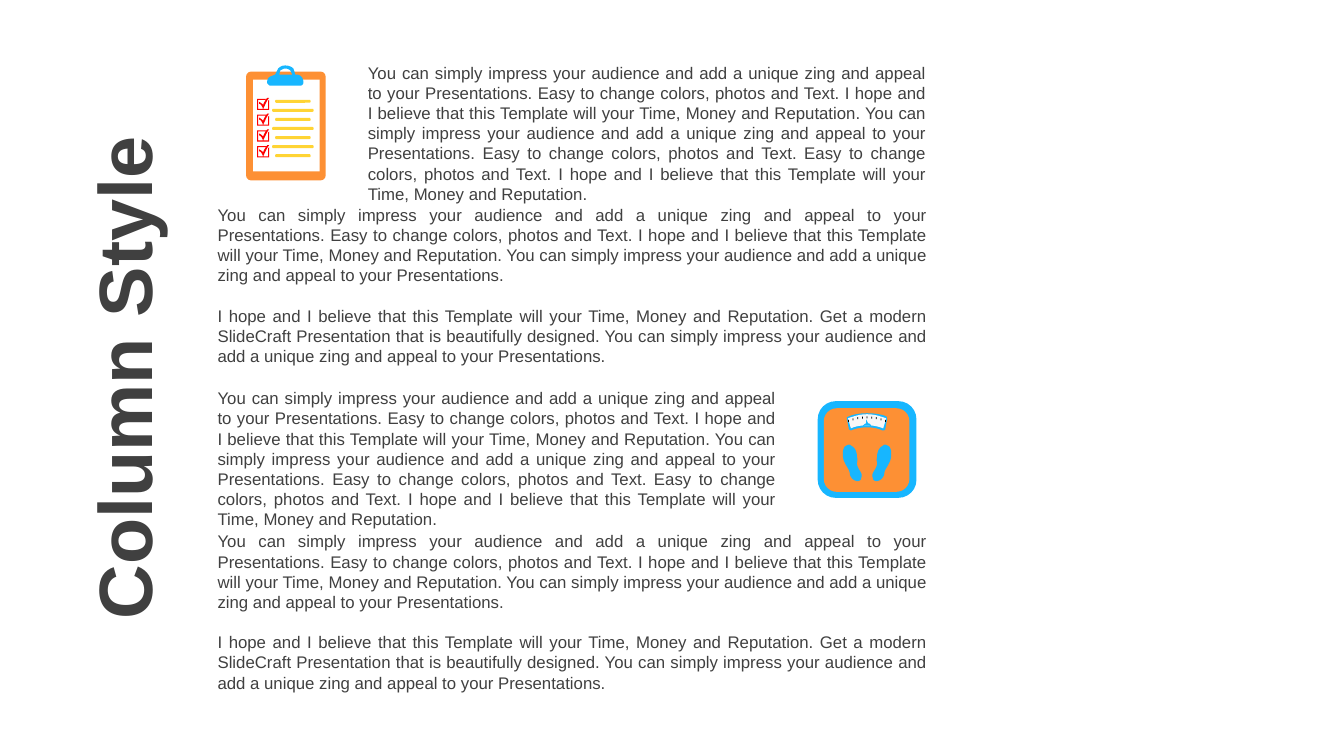
from dataclasses import dataclass

from pptx import Presentation
from pptx.dml.color import RGBColor
from pptx.enum.shapes import MSO_SHAPE
from pptx.enum.text import MSO_ANCHOR, MSO_AUTO_SIZE, PP_ALIGN
from pptx.shapes.base import BaseShape
from pptx.shapes.group import GroupShape
from pptx.slide import Slide
from pptx.text.text import Font
from pptx.util import Inches, Pt

RECTANGLE = MSO_SHAPE.RECTANGLE
ROUNDED = MSO_SHAPE.ROUNDED_RECTANGLE
TOP, MIDDLE = MSO_ANCHOR.TOP, MSO_ANCHOR.MIDDLE
NO_FIT, GROW = MSO_AUTO_SIZE.NONE, MSO_AUTO_SIZE.SHAPE_TO_FIT_TEXT
CENTER, JUSTIFY = PP_ALIGN.CENTER, PP_ALIGN.JUSTIFY

COLORS = {
    "text": "404040",
    "orange": "FD9034",
    "blue": "17B6FF",
    "yellow": "FFD434",
    "red": "FF0000",
    "white": "FFFFFF",
    "dial": "F8F7F7",
    "black": "000000",
}
FONT_NAME = "Arial"
LINE_PITCH = Pt(14.4)
CURVE_STEPS = 8

IMPRESS = "You can simply impress your audience and add a unique zing and appeal to your Presentations."
EASY = "Easy to change colors, photos and Text."
HOPE = "I hope and I believe that this Template will your Time, Money and Reputation."
MODERN = "Get a modern SlideCraft Presentation that is beautifully designed."
LEAD = [" ".join([IMPRESS, EASY, HOPE, IMPRESS, EASY, EASY, HOPE])]
DETAIL = [" ".join([IMPRESS, EASY, HOPE, IMPRESS]), " ".join([HOPE, MODERN, IMPRESS])]

Point = tuple[float, float]
Contour = list[tuple[float, ...]]


@dataclass
class TextBlock:
    left: float
    top: float
    width: float
    height: float
    paragraphs: list[str]


@dataclass
class Panel:
    left: float
    top: float
    width: float
    height: float
    color: str
    corner: float = 0


TEXT_BLOCKS = [
    TextBlock(3.55, 0.57, 5.74, 1.51, LEAD),
    TextBlock(2.06, 1.98, 7.24, 1.72, DETAIL),
    TextBlock(2.06, 3.80, 5.74, 1.51, LEAD),
    TextBlock(2.06, 5.22, 7.24, 1.72, DETAIL),
]
CLIPBOARD_PANELS = [
    Panel(2.44, 0.71, 0.79, 1.08, "orange", 0.05),
    Panel(2.51, 0.79, 0.66, 0.91, "white"),
]
SCALE_PANELS = [
    Panel(8.11, 3.98, 0.98, 0.96, "blue", 0.18),
    Panel(8.17, 4.05, 0.85, 0.83, "orange", 0.13),
]
CLIP = [
    [(2.83, 0.68), (2.81, 0.68, 2.8, 0.69, 2.78, 0.7), (2.77, 0.74), (2.9, 0.74),
     (2.88, 0.7), (2.87, 0.69, 2.85, 0.68, 2.83, 0.68)],
    [(2.83, 0.65), (2.86, 0.65, 2.89, 0.66, 2.91, 0.68), (2.93, 0.74), (2.94, 0.74),
     (2.98, 0.74, 3.01, 0.77, 3.01, 0.82), (3.01, 0.83, 3, 0.85, 2.98, 0.85), (2.68, 0.85),
     (2.67, 0.85, 2.65, 0.83, 2.65, 0.82), (2.65, 0.79, 2.66, 0.77, 2.68, 0.76),
     (2.73, 0.74), (2.76, 0.68), (2.78, 0.66, 2.8, 0.65, 2.83, 0.65)],
]
CHECK_BOX = [
    [(2.55, 0.98), (2.64, 0.98), (2.63, 0.99), (2.56, 0.99), (2.56, 1.08), (2.66, 1.08),
     (2.66, 1), (2.67, 0.99), (2.67, 1.09), (2.55, 1.09)],
    [(2.67, 0.97), (2.65, 0.99, 2.63, 1.04, 2.61, 1.08), (2.6, 1.06, 2.59, 1.03, 2.57, 1.03),
     (2.57, 1.01), (2.59, 1.02, 2.6, 1.03, 2.61, 1.04), (2.62, 1.01, 2.63, 1, 2.65, 0.97)],
]
DIAL_FRAME = [
    [(8.6, 4.1), (8.53, 4.1, 8.46, 4.11, 8.4, 4.14), (8.4, 4.15), (8.42, 4.26), (8.44, 4.27),
     (8.49, 4.25, 8.54, 4.24, 8.6, 4.24), (8.66, 4.24, 8.71, 4.25, 8.75, 4.27), (8.77, 4.27),
     (8.78, 4.26), (8.8, 4.15), (8.79, 4.13), (8.74, 4.11, 8.67, 4.1, 8.6, 4.1)],
]
DIAL = [
    [(8.41, 4.15), (8.44, 4.25), (8.48, 4.23, 8.54, 4.22, 8.6, 4.22),
     (8.66, 4.22, 8.71, 4.23, 8.76, 4.25), (8.79, 4.15),
     (8.73, 4.13, 8.67, 4.11, 8.6, 4.11), (8.53, 4.11, 8.47, 4.13, 8.41, 4.15)],
]
NEEDLE = [
    [(8.61, 4.2), (8.59, 4.16), (8.59, 4.2), (8.57, 4.21, 8.56, 4.22, 8.56, 4.23),
     (8.57, 4.22, 8.59, 4.22, 8.6, 4.22), (8.61, 4.22, 8.63, 4.22, 8.64, 4.23),
     (8.64, 4.21, 8.62, 4.2, 8.61, 4.2)],
]
LEFT_FOOT = [
    [(8.38, 4.43), (8.4, 4.42, 8.42, 4.4, 8.44, 4.42), (8.48, 4.44, 8.5, 4.48, 8.5, 4.53),
     (8.51, 4.57, 8.5, 4.58, 8.5, 4.6), (8.5, 4.63, 8.53, 4.67, 8.54, 4.69),
     (8.55, 4.71, 8.55, 4.72, 8.54, 4.75), (8.54, 4.77, 8.5, 4.78, 8.49, 4.77),
     (8.47, 4.77, 8.44, 4.74, 8.43, 4.71), (8.43, 4.66, 8.4, 4.64, 8.38, 4.59),
     (8.36, 4.56, 8.36, 4.52, 8.36, 4.49), (8.36, 4.47, 8.37, 4.44, 8.38, 4.43)],
]
SCALE_CENTER = 8.6


def paint(shape: BaseShape, color: str) -> None:
    shape.shadow.inherit = False
    shape.fill.solid()
    shape.fill.fore_color.rgb = RGBColor.from_string(COLORS[color])
    shape.line.fill.background()


def add_panel(icon: GroupShape, panel: Panel) -> None:
    box = map(Inches, (panel.left, panel.top, panel.width, panel.height))
    shape = icon.shapes.add_shape(ROUNDED if panel.corner else RECTANGLE, *box)
    if panel.corner:
        shape.adjustments[0] = panel.corner / min(panel.width, panel.height)
    paint(shape, panel.color)


def flatten(contour: Contour) -> list[Point]:
    points = [contour[0]]
    for segment in contour[1:]:
        if len(segment) == 2:
            points.append(segment)
            continue
        controls = [points[-1], segment[:2], segment[2:4], segment[4:]]
        for step in range(1, CURVE_STEPS + 1):
            t = step / CURVE_STEPS
            weights = ((1 - t) ** 3, 3 * t * (1 - t) ** 2, 3 * t * t * (1 - t), t ** 3)
            points.append(tuple(sum(w * c[axis] for w, c in zip(weights, controls)) for axis in (0, 1)))
    return points


def add_outline(icon: GroupShape, contours: list[Contour], color: str,
                shift: float = 0, mirrored: bool = False) -> None:
    builder = None
    for contour in contours:
        points = [(Inches(2 * SCALE_CENTER - x if mirrored else x), Inches(y + shift))
                  for x, y in flatten(contour)]
        if builder is None:
            builder = icon.shapes.build_freeform(*points[0])
        else:
            builder.move_to(*points[0])
        builder.add_line_segments(points[1:], close=True)
    paint(builder.convert_to_shape(), color)


def add_clipboard(slide: Slide) -> None:
    icon = slide.shapes.add_group_shape()
    for panel in CLIPBOARD_PANELS:
        add_panel(icon, panel)
    for row in range(7):
        inset = 0.03 if row % 2 == 0 else 0
        add_panel(icon, Panel(2.7 + inset, 0.99 + 0.09 * row, 0.41 - 2 * inset, 0.03, "yellow", 0.01))
    add_outline(icon, CLIP, "blue")
    for row in range(4):
        add_outline(icon, CHECK_BOX, "red", shift=0.157 * row)


def add_scale(slide: Slide) -> None:
    icon = slide.shapes.add_group_shape()
    for panel in SCALE_PANELS:
        add_panel(icon, panel)
    add_outline(icon, DIAL_FRAME, "blue")
    add_outline(icon, DIAL, "dial")
    for offset in range(-4, 5):
        left = SCALE_CENTER + 0.046 * offset
        top = 4.13 + 0.02 * (offset / 3) ** 2
        add_panel(icon, Panel(left - 0.004, top, 0.008, 0.02, "black"))
    add_outline(icon, NEEDLE, "blue")
    for mirrored in (False, True):
        add_outline(icon, LEFT_FOOT, "blue", mirrored=mirrored)


def style_font(font: Font, size: float, bold: bool = False) -> None:
    font.name = FONT_NAME
    font.size = Pt(size)
    font.bold = bold
    font.color.rgb = RGBColor.from_string(COLORS["text"])


def add_text_block(slide: Slide, block: TextBlock) -> None:
    box = map(Inches, (block.left, block.top, block.width, block.height))
    frame = slide.shapes.add_textbox(*box).text_frame
    frame.word_wrap = True
    frame.auto_size = GROW
    frame.vertical_anchor = TOP
    frame.text = "\n".join(block.paragraphs)
    for index, paragraph in enumerate(frame.paragraphs):
        paragraph.alignment = JUSTIFY
        paragraph.line_spacing = LINE_PITCH
        if index:
            paragraph.space_before = LINE_PITCH
        style_font(paragraph.runs[0].font, 12)


def format_title(slide: Slide) -> None:
    title = slide.shapes.title
    title.left, title.top, title.width, title.height = map(Inches, (-1.83, 3.22, 5.84, 1.06))
    title.rotation = 270
    frame = title.text_frame
    frame.text = "Column Style"
    frame.word_wrap = True
    frame.auto_size = NO_FIT
    frame.vertical_anchor = MIDDLE
    frame.margin_top = Inches(0.2)
    paragraph = frame.paragraphs[0]
    paragraph.alignment = CENTER
    paragraph.line_spacing = 1.1
    style_font(paragraph.runs[0].font, 54, bold=True)


def main() -> None:
    presentation = Presentation()
    presentation.slide_width = Inches(13.33)
    presentation.slide_height = Inches(7.5)
    slide = presentation.slides.add_slide(presentation.slide_layouts[5])
    format_title(slide)
    for block in TEXT_BLOCKS:
        add_text_block(slide, block)
    add_clipboard(slide)
    add_scale(slide)
    presentation.save("out.pptx")


if __name__ == "__main__":
    main()
